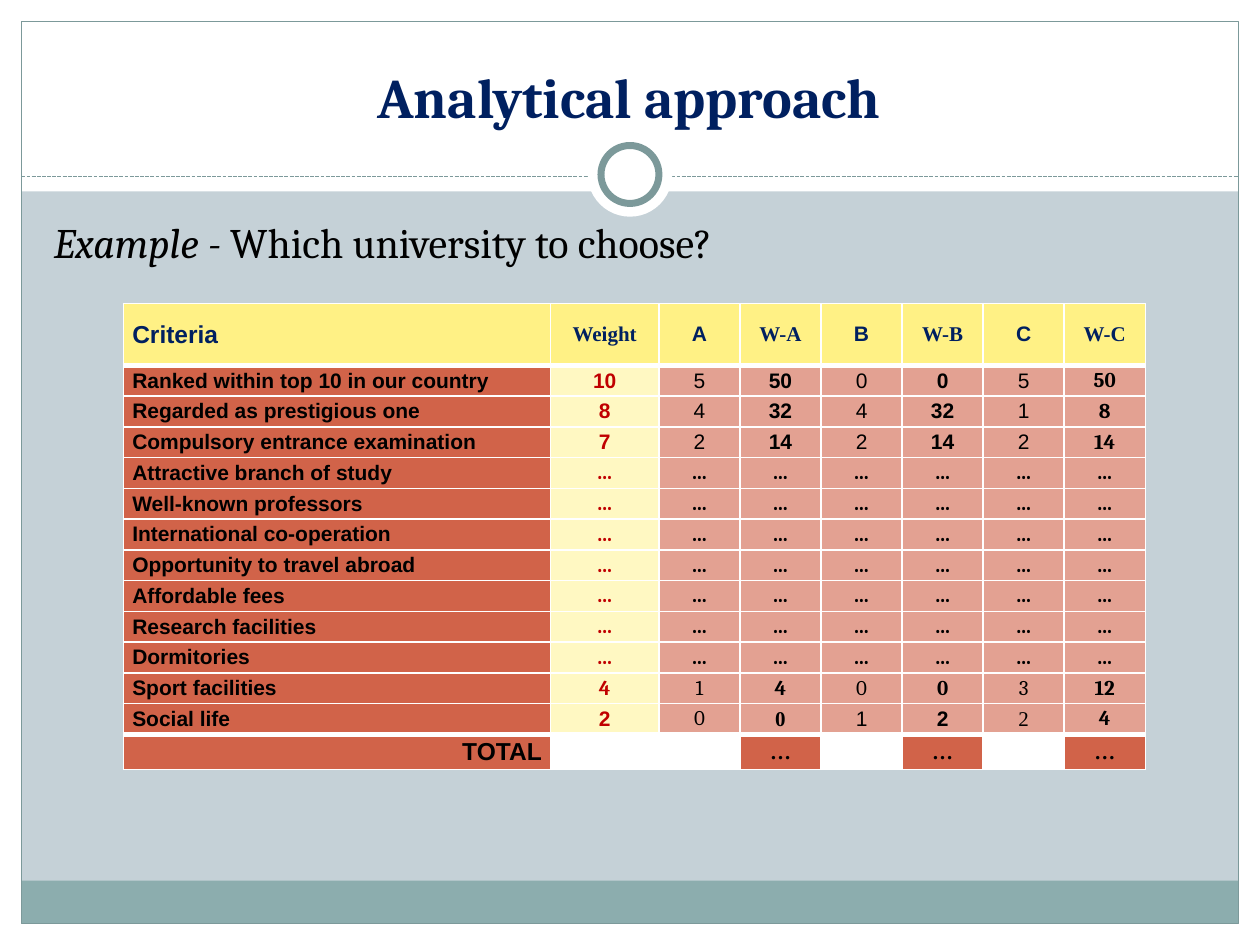
from dataclasses import dataclass

from lxml.etree import SubElement
from pptx import Presentation
from pptx.dml.color import RGBColor
from pptx.enum.dml import MSO_LINE
from pptx.enum.shapes import MSO_CONNECTOR, MSO_SHAPE
from pptx.enum.text import MSO_ANCHOR, PP_ALIGN
from pptx.oxml import parse_xml
from pptx.oxml.ns import nsdecls, qn
from pptx.util import Inches, Pt

# The slide is a grid of 100 columns and 75 rows
COLUMNS, ROWS = 100, 75
MARGIN = 1.7


def grid(count):
    return Inches(count / 10)


@dataclass(frozen=True)
class Theme:
    background: str = "C5D1D7"
    white: str = "FFFFFF"
    black: str = "000000"
    outline: str = "7C999A"
    footer: str = "8CADAE"
    navy: str = "002060"
    red: str = "C00000"
    header: str = "FFF185"
    weight: str = "FFF8C2"
    criterion: str = "D16349"
    score: str = "E3A192"
    serif: str = "Cambria"
    sans: str = "Arial"
    roman: str = "Times New Roman"
    title_size: int = 32
    lead_size: int = 24
    label_size: int = 14
    cell_size: int = 12


@dataclass(frozen=True)
class Box:
    left: float
    top: float
    width: float
    height: float

    @property
    def right(self):
        return self.left + self.width

    @property
    def bottom(self):
        return self.top + self.height

    def lengths(self):
        return [grid(n) for n in (self.left, self.top, self.width, self.height)]


THEME = Theme()
FONTS = {"a": THEME.sans, "c": THEME.serif, "t": THEME.roman}
HEADINGS = ["Criteria", "Weight", "A", "W-A", "B", "W-B", "C", "W-C"]
PENDING = ["…"] * 7
# Criterion, values, and one font key for each value
CRITERIA = [
    ("Ranked within top 10 in our country", ["10", "5", "50", "0", "0", "5", "50"], "aaaaaac"),
    ("Regarded as prestigious one", ["8", "4", "32", "4", "32", "1", "8"], "aaaaaac"),
    ("Compulsory entrance examination", ["7", "2", "14", "2", "14", "2", "14"], "aaaaaac"),
    *[(name, PENDING, "ccccccc") for name in (
        "Attractive branch of study", "Well-known professors",
        "International co-operation", "Opportunity to travel abroad",
        "Affordable fees", "Research facilities", "Dormitories")],
    ("Sport facilities", ["4", "1", "4", "0", "0", "3", "12"], "ccccccc"),
    ("Social life", ["2", "0", "0", "1", "2", "2", "4"], "actaatc"),
]


def color(value):
    return RGBColor.from_string(value)


def add_run(paragraph, text, size, font, tint, bold=False, italic=False):
    run = paragraph.add_run()
    run.text = text
    run.font.size, run.font.name = Pt(size), font
    run.font.bold, run.font.italic = bold, italic
    run.font.color.rgb = color(tint)


def add_figure(slide, kind, box, fill=None, line=None, width=0.75):
    shape = slide.shapes.add_shape(kind, *box.lengths())
    shape.shadow.inherit = False
    if fill:
        shape.fill.solid()
        shape.fill.fore_color.rgb = color(fill)
    else:
        shape.fill.background()
    if line:
        shape.line.color.rgb = color(line)
        shape.line.width = Pt(width)
    else:
        shape.line.fill.background()


def add_text_frame(slide, box, anchor):
    frame = slide.shapes.add_textbox(*box.lengths()).text_frame
    frame.word_wrap = True
    frame.vertical_anchor = anchor
    return frame.paragraphs[0]


def draw_frame(slide, box):
    # White margins and header band
    for band in (Box(0, box.bottom, COLUMNS, ROWS - box.bottom),
                 Box(0, 0, COLUMNS, 15.2),
                 Box(0, 0, box.left, ROWS),
                 Box(box.right, 0, COLUMNS - box.right, ROWS)):
        add_figure(slide, MSO_SHAPE.RECTANGLE, band, THEME.white)
    # Footer band and outline
    footer = Box(box.left, box.bottom - 3.4, box.width, 3.4)
    add_figure(slide, MSO_SHAPE.RECTANGLE, footer, THEME.footer)
    add_figure(slide, MSO_SHAPE.RECTANGLE, box, line=THEME.outline)
    # Dashed divider
    divider = slide.shapes.add_connector(
        MSO_CONNECTOR.STRAIGHT, grid(box.left), grid(14), grid(box.right), grid(14))
    divider.line.color.rgb = color(THEME.outline)
    divider.line.width = Pt(0.75)
    divider.line.dash_style = MSO_LINE.SQUARE_DOT
    SubElement(divider._element.spPr, qn("a:effectLst"))
    # Ring on its white halo
    for size, line in ((6.7, None), (4.6, THEME.outline)):
        circle = Box((COLUMNS - size) / 2, 13.85 - size / 2, size, size)
        add_figure(slide, MSO_SHAPE.OVAL, circle, THEME.white, line, 4)


def draw_title(slide, box):
    paragraph = add_text_frame(slide, box, MSO_ANCHOR.BOTTOM)
    paragraph.alignment = PP_ALIGN.CENTER
    add_run(paragraph, "Analytical approach", THEME.title_size, THEME.serif, THEME.navy, bold=True)


def draw_lead(slide, box):
    paragraph = add_text_frame(slide, box, MSO_ANCHOR.TOP)
    style = THEME.lead_size, THEME.serif, THEME.black
    add_run(paragraph, "Example - ", *style, italic=True)
    add_run(paragraph, "Which university to choose?", *style)


def set_borders(cell, top, bottom):
    widths = {"lnL": 1, "lnR": 1, "lnT": top, "lnB": bottom}
    properties = cell._tc.get_or_add_tcPr()
    for index, (side, width) in enumerate(widths.items()):
        properties.insert(index, parse_xml(
            f'<a:{side} {nsdecls("a")} w="{Pt(width)}"><a:solidFill>'
            f'<a:srgbClr val="{THEME.white}"/></a:solidFill></a:{side}>'))


def fill_cell(cell, fill, text="", size=THEME.cell_size, font=THEME.sans,
              tint=THEME.black, bold=True, align=PP_ALIGN.CENTER):
    cell.margin_left = cell.margin_right = Inches(0.07)
    cell.margin_top = cell.margin_bottom = 0
    cell.vertical_anchor = MSO_ANCHOR.MIDDLE
    cell.fill.solid()
    cell.fill.fore_color.rgb = color(fill)
    paragraph = cell.text_frame.paragraphs[0]
    paragraph.alignment = align
    if text:
        add_run(paragraph, text, size, font, tint, bold)
    else:
        SubElement(paragraph._p, qn("a:endParaRPr"), sz=str(size * 100))


def draw_table(slide, box):
    last = len(CRITERIA) + 1
    table = slide.shapes.add_table(last + 1, len(HEADINGS), *box.lengths()).table
    # Column widths and row heights
    widths = [33.9, 8.6] + [(box.width - 33.9 - 8.6) / 6] * 6
    heights = [4.9] + [(box.height - 4.9 - 2.8) / len(CRITERIA)] * len(CRITERIA) + [2.8]
    for column, width in zip(table.columns, widths):
        column.width = grid(width)
    for row, height in zip(table.rows, heights):
        row.height = grid(height)
    # Header row
    for column, heading in enumerate(HEADINGS):
        fill_cell(table.cell(0, column), THEME.header, heading, tint=THEME.navy,
                  size=THEME.cell_size if column else THEME.label_size,
                  font=THEME.roman if heading.startswith("W") else THEME.sans,
                  align=PP_ALIGN.CENTER if column else PP_ALIGN.LEFT)
    # Criteria: weights in red, weighted scores in bold
    for row, (name, values, fonts) in enumerate(CRITERIA, 1):
        fill_cell(table.cell(row, 0), THEME.criterion, name, align=PP_ALIGN.LEFT)
        for column, (value, key) in enumerate(zip(values, fonts), 1):
            is_weight = column == 1
            fill_cell(table.cell(row, column), THEME.weight if is_weight else THEME.score,
                      value, font=FONTS[key], tint=THEME.red if is_weight else THEME.black,
                      bold=column % 2 == 1 or value == "…")
    # Total row
    fill_cell(table.cell(last, 0), THEME.criterion, "TOTAL", THEME.label_size, align=PP_ALIGN.RIGHT)
    for column in range(1, len(HEADINGS)):
        if HEADINGS[column].startswith("W-"):
            fill_cell(table.cell(last, column), THEME.criterion, "…", font=THEME.roman)
        else:
            fill_cell(table.cell(last, column), THEME.white)
    # Thick rules below the header and above the total
    for row in range(last + 1):
        for cell in table.rows[row].cells:
            set_borders(cell, 3 if row in (1, last) else 1, 3 if row in (0, last - 1) else 1)


def main():
    presentation = Presentation()
    presentation.slide_width, presentation.slide_height = grid(COLUMNS), grid(ROWS)
    slide = presentation.slides.add_slide(presentation.slide_layouts[6])
    slide.background.fill.solid()
    slide.background.fill.fore_color.rgb = color(THEME.background)
    draw_frame(slide, Box(MARGIN, MARGIN, COLUMNS - 2 * MARGIN, ROWS - 2 * MARGIN))
    draw_title(slide, Box(3.3, 2.5, 93.3, 8.3))
    draw_lead(slide, Box(3.3, 16.7, 90.8, 50))
    draw_table(slide, Box(9.8, 24.1, 81.1, 37))
    presentation.save("out.pptx")


if __name__ == "__main__":
    main()
